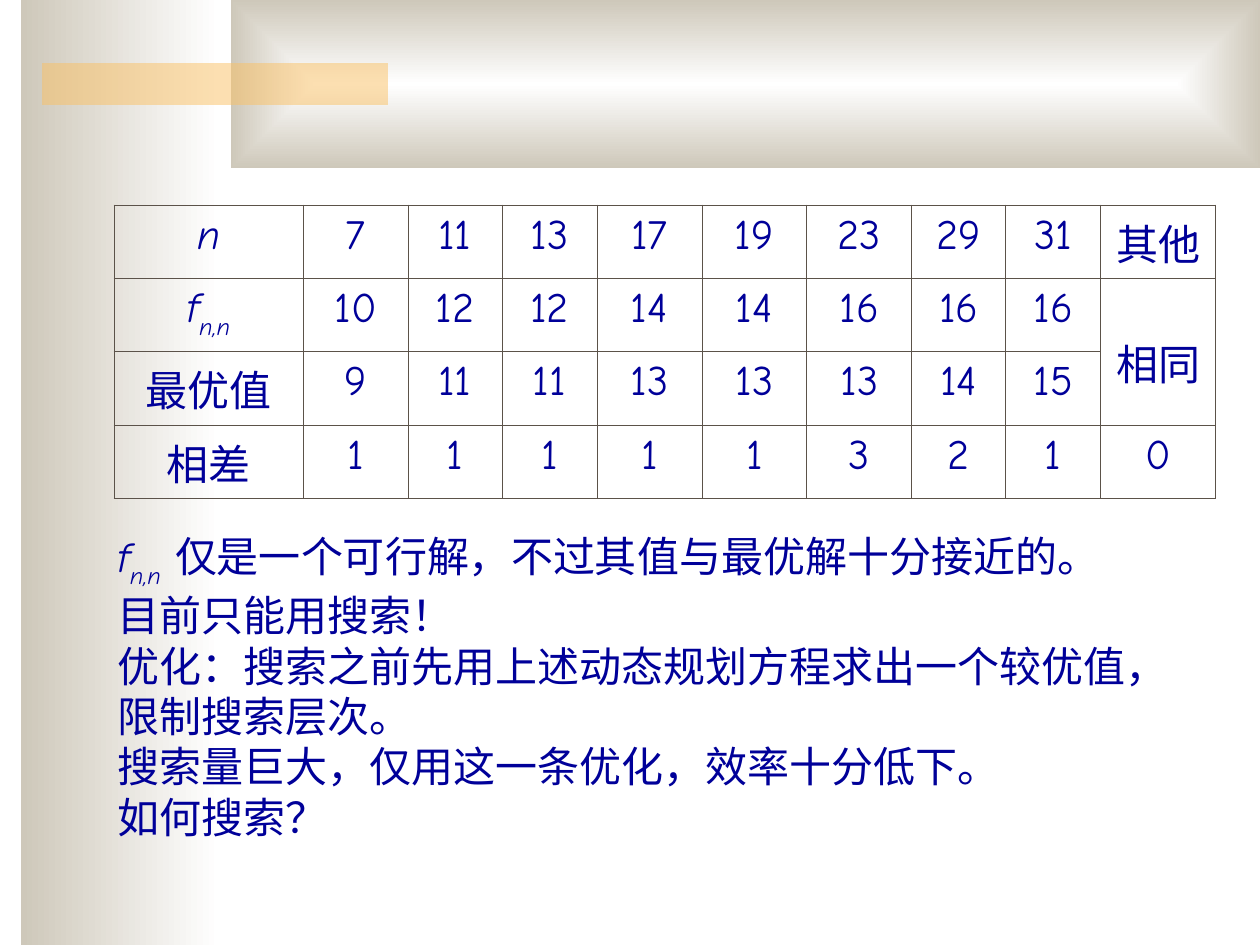
import pptx
import pptx.util
import pptx.dml.color
import pptx.enum.dml
import pptx.enum.shapes
import pptx.enum.text
import pptx.oxml
import pptx.oxml.ns

RGB = pptx.dml.color.RGBColor
INK = RGB(0x00, 0x00, 0x99)
WHITE = RGB(0xFF, 0xFF, 0xFF)
STONE = RGB(0xCE, 0xC8, 0xBA)
AMBER = RGB(0xFA, 0xC1, 0x64)
BORDER = RGB(0x5B, 0x52, 0x49)
FONT = "Comic Neue"
CENTER = pptx.enum.text.PP_ALIGN.CENTER
LEFT = pptx.enum.text.PP_ALIGN.LEFT

COLUMNS = [189, 105, 94, 95, 105, 105, 105, 94, 95, 115]
ROW_HEIGHT = 73
F_NN = [("f", True, False), ("n,n", True, True)]
ROWS = [
    [[("n", True, False)], 7, 11, 13, 17, 19, 23, 29, 31, "其他"],
    [F_NN, 10, 12, 12, 14, 14, 16, 16, 16, "相同"],
    ["最优值", 9, 11, 11, 13, 13, 13, 14, 15, None],
    ["相差", 1, 1, 1, 1, 1, 3, 2, 1, 0],
]
NOTES = [
    F_NN + [(" 仅是一个可行解，不过其值与最优解十分接近的。", False, False)],
    "目前只能用搜索！",
    "优化：搜索之前先用上述动态规划方程求出一个较优值，限制搜索层次。",
    "搜索量巨大，仅用这一条优化，效率十分低下。",
    "如何搜索？",
]


def px(n):
    """Turn pixels (126 to the inch) into EMU."""
    return pptx.util.Emu(round(n * 914400 / 126))


def element(xml):
    """Parse a fragment in the drawing namespace."""
    head, tail = xml.split(">", 1) if "/>" not in xml.split(">", 1)[0] + ">" \
        else (xml[:-2], None)
    ns = " " + pptx.oxml.ns.nsdecls("a")
    return pptx.oxml.parse_xml(head + ns + ("/>" if tail is None else ">" + tail))


def write(p, text, size=24, color=INK, align=LEFT):
    """Fill a paragraph from plain text or (text, italic, subscript) parts."""
    p.alignment = align
    p.space_before = pptx.util.Pt(0)
    parts = text if isinstance(text, list) else [(str(text), False, False)]
    for part, italic, subscript in parts:
        r = p.add_run()
        r.text = part
        r.font.name = FONT
        r.font.size = pptx.util.Pt(size)
        r.font.color.rgb = color
        r.font.italic = italic
        if subscript:
            r._r.get_or_add_rPr().set("baseline", "-30000")


def add_rect(s, x, y, w, h):
    """Add a rectangle without line or shadow."""
    sp = s.shapes.add_shape(pptx.enum.shapes.MSO_SHAPE.RECTANGLE,
                            px(x), px(y), px(w), px(h))
    sp.shadow.inherit = False
    sp.line.fill.background()
    return sp


def fade(sp, angle=None):
    """Fade from white to stone, along an angle or outwards from the centre."""
    sp.fill.gradient()
    stops = sp.fill.gradient_stops
    for stop, color, position in zip(stops, (WHITE, STONE), (0, 1)):
        stop.color.rgb = color
        stop.position = position
    if angle is not None:
        sp.fill.gradient_angle = angle
        return
    grad = sp._element.spPr.find(pptx.oxml.ns.qn("a:gradFill"))
    grad.replace(grad.find(pptx.oxml.ns.qn("a:lin")), element(
        '<a:path path="rect"><a:fillToRect l="50000" t="50000" '
        'r="50000" b="50000"/></a:path>'))


def add_backdrop(s):
    """Draw the side band, the header panel and the translucent bar."""
    fade(add_rect(s, 21, 0, 199, 945), angle=180)
    fade(add_rect(s, 231, 0, 1029, 168))
    bar = add_rect(s, 42, 63, 346, 42)
    bar.fill.solid()
    bar.fill.fore_color.rgb = AMBER
    color = bar._element.spPr.find(".//" + pptx.oxml.ns.qn("a:srgbClr"))
    color.append(element('<a:alpha val="50000"/>'))


def frame(cell):
    """Leave a cell unfilled and give it thin borders."""
    tcPr = cell._tc.get_or_add_tcPr()
    for side in ("lnL", "lnR", "lnT", "lnB"):
        tcPr.append(element(
            f'<a:{side} w="5715"><a:solidFill><a:srgbClr val="{BORDER}"/>'
            f'</a:solidFill></a:{side}>'))
    cell.fill.background()


def add_comparison(s):
    """Add the table that compares f with the best value."""
    shape = s.shapes.add_table(len(ROWS), len(COLUMNS), px(114), px(205),
                               px(sum(COLUMNS)), px(ROW_HEIGHT * len(ROWS)))
    table = shape.table
    table.first_row = table.horz_banding = False
    for column, width in zip(table.columns, COLUMNS):
        column.width = px(width)
    for i, values in enumerate(ROWS):
        table.rows[i].height = px(ROW_HEIGHT)
        for j, value in enumerate(values):
            cell = table.cell(i, j)
            frame(cell)
            if value is not None:
                write(cell.text_frame.paragraphs[0], value, align=CENTER)
    same = table.cell(1, len(COLUMNS) - 1)
    same.merge(table.cell(2, len(COLUMNS) - 1))
    same.margin_top = px(53)


def add_notes(s):
    """Put the remarks in the body placeholder, without bullets."""
    body = s.placeholders[1]
    body.left, body.top, body.width, body.height = px(105), px(524), px(1111), px(345)
    tf = body.text_frame
    tf.auto_size = pptx.enum.text.MSO_AUTO_SIZE.NONE
    for i, text in enumerate(NOTES):
        p = tf.add_paragraph() if i else tf.paragraphs[0]
        write(p, text)
        pPr = p._p.get_or_add_pPr()
        pPr.set("marL", "0")
        pPr.set("indent", "0")
        pPr.append(element("<a:buNone/>"))


def main():
    """Build the slide and save it."""
    prs = pptx.Presentation()
    prs.slide_width, prs.slide_height = px(1260), px(945)
    s = prs.slides.add_slide(prs.slide_layouts[1])
    title = s.shapes.title._element
    title.getparent().remove(title)
    add_backdrop(s)
    add_comparison(s)
    add_notes(s)
    body = s.placeholders[1]._element
    body.getparent().append(body)
    prs.save("out.pptx")


main()
